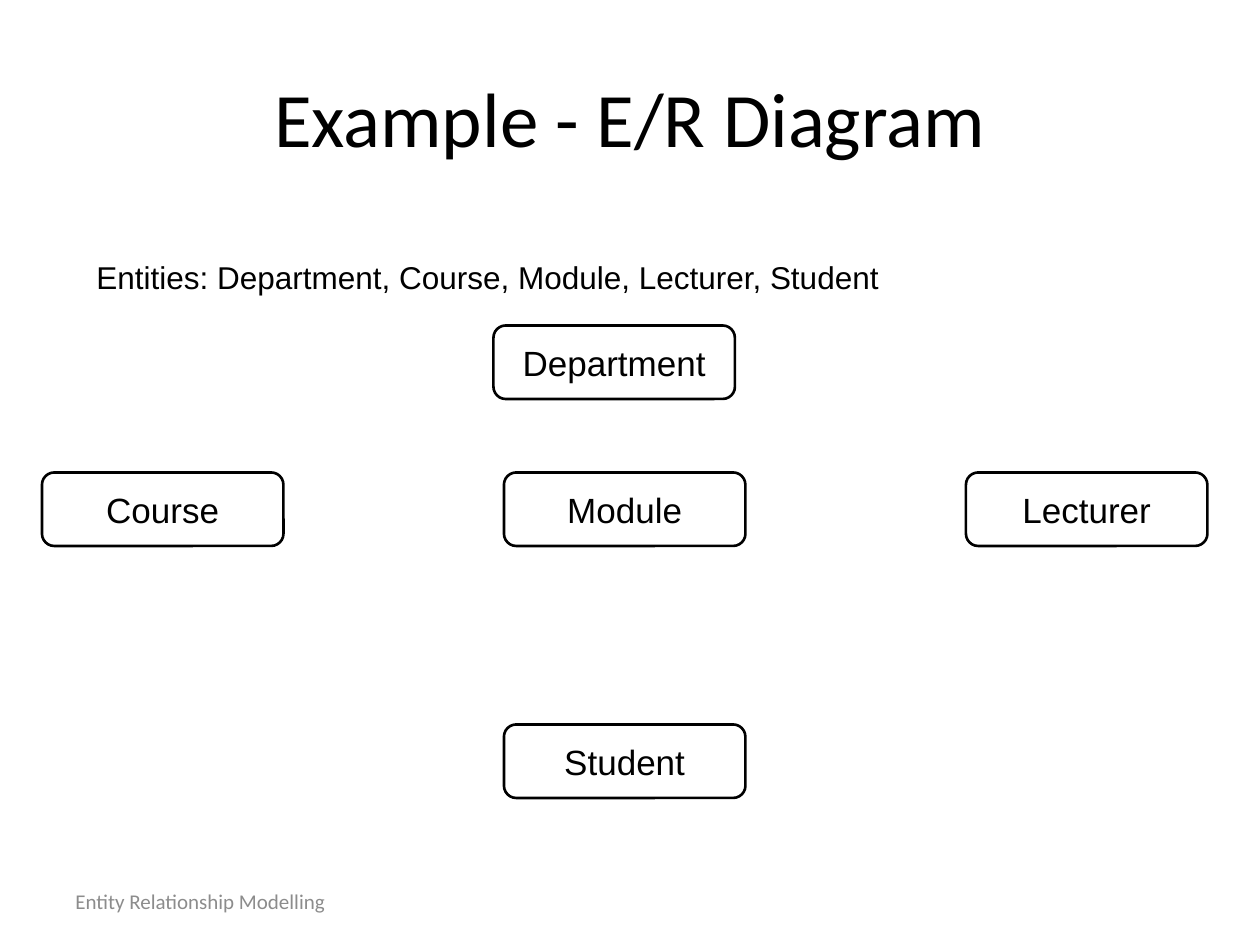
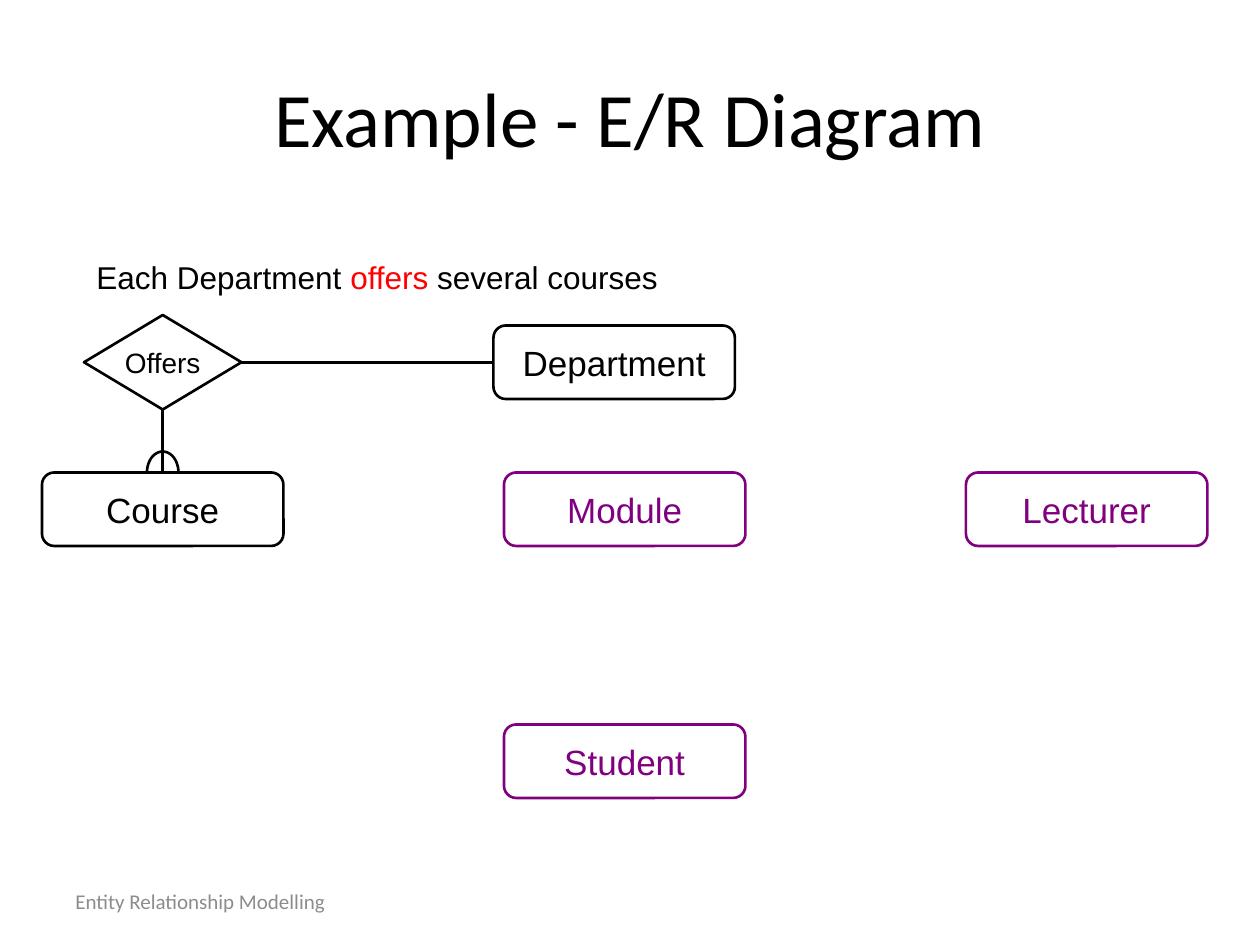
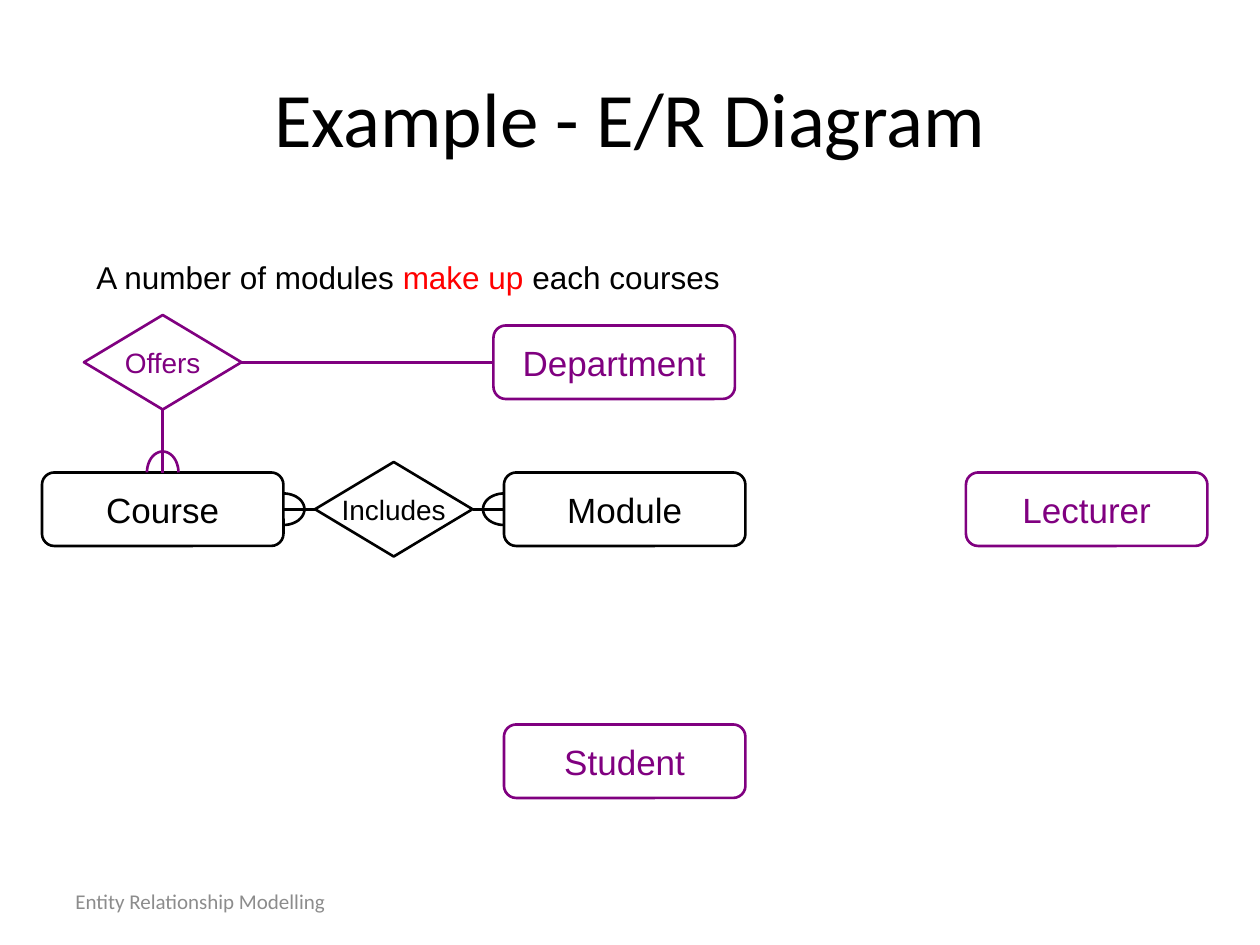
import math

from lxml import etree
from pptx import Presentation
from pptx.dml.color import RGBColor
from pptx.enum.shapes import MSO_CONNECTOR, MSO_SHAPE
from pptx.enum.text import MSO_ANCHOR, MSO_AUTO_SIZE, PP_ALIGN
from pptx.oxml.ns import qn
from pptx.util import Pt

ROUNDED = MSO_SHAPE.ROUNDED_RECTANGLE
DIAMOND = MSO_SHAPE.DIAMOND
STRAIGHT = MSO_CONNECTOR.STRAIGHT
MIDDLE = MSO_ANCHOR.MIDDLE
GROW = MSO_AUTO_SIZE.SHAPE_TO_FIT_TEXT
LEFT_ALIGNED = PP_ALIGN.LEFT
CENTERED = PP_ALIGN.CENTER

BLACK = RGBColor(0x00, 0x00, 0x00)
PURPLE = RGBColor(0x80, 0x00, 0x80)
RED = RGBColor(0xFF, 0x00, 0x00)
GRAY = RGBColor(0x8C, 0x8C, 0x8C)

TITLE_ONLY = 5
TITLE = "Example - E/R Diagram"
FOOTER = "Entity Relationship Modelling"

# Connection sites, shared by rounded boxes and diamonds
TOP, LEFT, BOTTOM, RIGHT = range(4)
OUTWARD = {TOP: (0, -1), LEFT: (-1, 0), BOTTOM: (0, 1), RIGHT: (1, 0)}

# Left and top corners in points
ENTITY_SIZE = (138, 42)
ENTITIES = {
    "Module": (288, 270),
    "Course": (24, 270),
    "Department": (282, 186),
    "Student": (288, 414),
    "Lecturer": (552, 270),
}

# Each link: entity, side of the entity, side of the diamond, many
RELATION_SIZE = (90, 54)
RELATIONS = {
    "Offers": ((48, 180), [("Department", LEFT, RIGHT, False),
                           ("Course", TOP, BOTTOM, True)]),
    "Includes": ((180, 264), [("Course", RIGHT, LEFT, True),
                              ("Module", LEFT, RIGHT, True)]),
}

# Each slide: statement with its verb, relations shown, names in focus
SLIDES = [
    (("Entities: Department, Course, Module, Lecturer, Student",),
     [], set(ENTITIES)),
    (("Each Department ", "offers ", "several courses"),
     ["Offers"], {"Department", "Course", "Offers"}),
    (("A number of modules ", "make up ", "each courses"),
     ["Includes", "Offers"], {"Course", "Module", "Includes"}),
]


def write_text(paragraph, text, font="Arial", size=18, color=BLACK,
               align=LEFT_ALIGNED):
    paragraph.alignment = align
    run = paragraph.add_run()
    run.text = text
    run.font.name = font
    run.font.size = Pt(size)
    run.font.color.rgb = color


class DiagramDeck:
    line_width = Pt(1.5)
    arc_depth = 12
    arc_half_width = 9
    arc_steps = 24

    def __init__(self):
        self.presentation = Presentation()
        self.presentation.slide_width = Pt(720)
        self.presentation.slide_height = Pt(540)
        self.slide = None

    def add_slide(self):
        layout = self.presentation.slide_layouts[TITLE_ONLY]
        self.slide = self.presentation.slides.add_slide(layout)
        self.add_footer()
        self.add_title()

    def add_title(self):
        title = self.slide.shapes.title
        title.left, title.top = Pt(36), Pt(21.6)
        title.width, title.height = Pt(648), Pt(90)
        title.text_frame.vertical_anchor = MIDDLE
        write_text(title.text_frame.paragraphs[0], TITLE,
                   font="Calibri", size=44, align=CENTERED)

    def add_text_box(self, left, top, width, height):
        box = self.slide.shapes.add_textbox(
            Pt(left), Pt(top), Pt(width), Pt(height))
        box.text_frame.word_wrap = True
        return box.text_frame

    def add_footer(self):
        frame = self.add_text_box(36, 500.5, 168, 28.8)
        frame.vertical_anchor = MIDDLE
        write_text(frame.paragraphs[0], FOOTER,
                   font="Calibri", size=12, color=GRAY)

    def add_statement(self, parts):
        frame = self.add_text_box(48, 144, 624, 28.8)
        frame.auto_size = GROW
        for index, part in enumerate(parts):
            write_text(frame.paragraphs[0], part,
                       color=RED if index == 1 else BLACK)

    def outline(self, shape, color):
        shape.shadow.inherit = False
        shape.fill.background()
        shape.line.color.rgb = color
        shape.line.width = self.line_width

    def add_node(self, kind, name, corner, size, text_size, color):
        shape = self.slide.shapes.add_shape(
            kind, *(Pt(value) for value in corner + size))
        self.outline(shape, color)
        frame = shape.text_frame
        frame.word_wrap = False
        frame.vertical_anchor = MIDDLE
        write_text(frame.paragraphs[0], name, size=text_size,
                   color=color, align=CENTERED)
        return shape

    def add_link(self, diamond, diamond_side, entity, entity_side, color):
        connector = self.slide.shapes.add_connector(STRAIGHT, 0, 0, 0, 0)
        connector.begin_connect(diamond, diamond_side)
        connector.end_connect(entity, entity_side)
        connector.line.color.rgb = color
        connector.line.width = self.line_width
        properties = connector.element.find(qn("p:spPr"))
        etree.SubElement(properties, qn("a:effectLst"))

    def add_many_arc(self, entity, side, color):
        """Draw a half ellipse that bulges out of one side of an entity."""
        across, down = OUTWARD[side]
        center_x = entity.left + entity.width * (1 + across) / 2
        center_y = entity.top + entity.height * (1 + down) / 2
        points = []
        for step in range(self.arc_steps + 1):
            angle = math.pi * (step / self.arc_steps - 0.5)
            depth = Pt(self.arc_depth * math.cos(angle))
            offset = Pt(self.arc_half_width * math.sin(angle))
            points.append((round(center_x + depth * across - offset * down),
                           round(center_y + depth * down + offset * across)))
        builder = self.slide.shapes.build_freeform(*points[0])
        builder.add_line_segments(points[1:], close=False)
        self.outline(builder.convert_to_shape(), color)

    def add_relation(self, name, entities, color):
        corner, links = RELATIONS[name]
        diamond = self.add_node(DIAMOND, name, corner, RELATION_SIZE, 16, color)
        for entity_name, entity_side, diamond_side, many in links:
            entity = entities[entity_name]
            self.add_link(diamond, diamond_side, entity, entity_side, color)
            if many:
                self.add_many_arc(entity, entity_side, color)

    def add_diagram(self, relations, focus):
        def color_of(name):
            return BLACK if name in focus else PURPLE

        entities = {
            name: self.add_node(ROUNDED, name, corner, ENTITY_SIZE, 20,
                                color_of(name))
            for name, corner in ENTITIES.items()
        }
        for name in relations:
            self.add_relation(name, entities, color_of(name))


def main():
    deck = DiagramDeck()
    for statement, relations, focus in SLIDES:
        deck.add_slide()
        deck.add_diagram(relations, focus)
        deck.add_statement(statement)
    deck.presentation.save("out.pptx")


if __name__ == "__main__":
    main()
